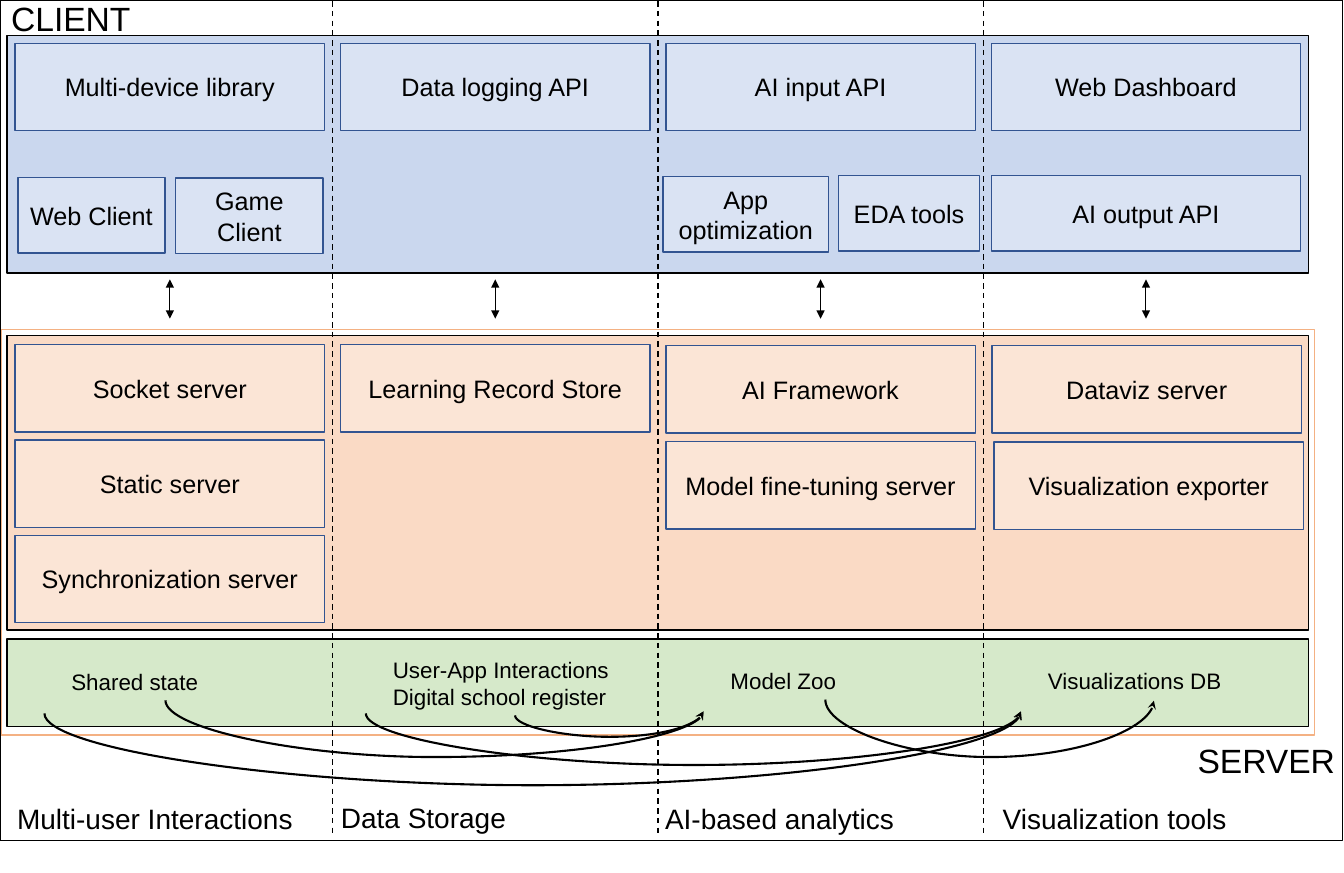
from lxml import etree
from pptx import Presentation
from pptx.dml.color import RGBColor
from pptx.enum.dml import MSO_LINE
from pptx.enum.shapes import MSO_CONNECTOR, MSO_SHAPE
from pptx.enum.text import MSO_ANCHOR, PP_ALIGN
from pptx.oxml.ns import qn
from pptx.util import Cm, Pt

RECTANGLE = MSO_SHAPE.RECTANGLE
STRAIGHT = MSO_CONNECTOR.STRAIGHT
CURVE = MSO_CONNECTOR.CURVE
DASH = MSO_LINE.DASH
MIDDLE = MSO_ANCHOR.MIDDLE
CENTER = PP_ALIGN.CENTER

BLACK = "000000"
CLIENT_FILL = "DAE3F3"
SERVER_FILL = "FBE5D6"
COLUMN_STEP = 8.2
COLUMNS = [0.38 + COLUMN_STEP * index for index in range(4)]
BOX_WIDTH = 7.8
BOX_HEIGHT = 2.2
SMALL_HEIGHT = 1.9

PANELS = [
    (16.1, 2.21, "C5E0B4"),
    (0.89, 5.99, "B4C7E7"),
    (8.46, 7.42, "F8CBAD"),
]
CLIENT_APIS = ["Multi-device library", "Data logging API", "AI input API", "Web Dashboard"]
CLIENT_TOOLS = [
    ("Web Client", 0.45, 4.48, 3.71),
    ("Game\nClient", 4.43, 4.49, 3.71),
    ("App\noptimization", 16.71, 4.45, 4.17),
    ("EDA tools", 21.13, 4.43, 3.56),
    ("AI output API", COLUMNS[3], 4.43, BOX_WIDTH),
]
SERVERS = [
    ("Socket server", COLUMNS[0], 8.69),
    ("Static server", COLUMNS[0], 11.09),
    ("Synchronization server", COLUMNS[0], 13.49),
    ("Learning Record Store", COLUMNS[1], 8.69),
    ("AI Framework", COLUMNS[2], 8.71),
    ("Model fine-tuning server", COLUMNS[2], 11.13),
    ("Dataviz server", 25, 8.71),
    ("Visualization exporter", 25.05, 11.14),
]
LABELS = [
    ("CLIENT", 0.03, -0.18, 4, 1.27, 24),
    ("SERVER", 29.93, 18.52, 4.11, 1.27, 24),
    ("Multi-user Interactions", 0.18, 20.07, 9.55, 1.12, 20),
    ("Data Storage", 8.34, 20.05, 5.21, 1.12, 20),
    ("AI-based analytics", 16.51, 20.07, 8.84, 1.12, 20),
    ("Visualization tools", 25.02, 20.07, 7.82, 1.12, 20),
    ("Shared state", 1.55, 16.71, 5.21, 0.94, 16),
    ("User-App Interactions\nDigital school register", 9.65, 16.41, 6.65, 1.63, 16),
    ("Model Zoo", 18.16, 16.69, 5.21, 0.94, 16),
    ("Visualizations DB", 26.16, 16.69, 5.82, 0.94, 16),
]
MODEL_ZOO = (17.73, 17.93)
VISUALIZATIONS = (25.73, 17.93)
DATA_FLOWS = [
    ((12.98, 18.03), MODEL_ZOO, 18.57),
    ((4.17, 17.65), MODEL_ZOO, 19.08),
    ((20.8, 17.63), (29.08, 17.66), 19.08),
    ((1.12, 17.98), VISUALIZATIONS, 19.79),
    ((9.22, 17.98), VISUALIZATIONS, 19.28),
]


def color(value):
    return RGBColor.from_string(value)


def write(frame, text, size, align=None):
    frame.word_wrap = True
    frame.text = text
    for para in frame.paragraphs:
        para.alignment = align
        para.font.name = "Arial"
        para.font.size = Pt(size)
        para.font.color.rgb = color(BLACK)


def add_rectangle(page, left, top, width, height, line, fill=None, opacity=100):
    shape = page.shapes.add_shape(RECTANGLE, Cm(left), Cm(top), Cm(width), Cm(height))
    shape.shadow.inherit = False
    shape.line.color.rgb = color(line)
    shape.line.width = Pt(1)
    if fill is None:
        shape.fill.background()
    else:
        shape.fill.solid()
        shape.fill.fore_color.rgb = color(fill)
    if opacity < 100:
        tint = shape.fill._xPr.find(qn("a:solidFill"))[0]
        etree.SubElement(tint, qn("a:alpha"), val=str(opacity * 1000))
    return shape


def add_component(page, text, left, top, width, height, fill):
    box = add_rectangle(page, left, top, width, height, "325491", fill)
    box.text_frame.vertical_anchor = MIDDLE
    write(box.text_frame, text, 18, CENTER)


def add_label(page, text, left, top, width, height, size):
    box = page.shapes.add_textbox(Cm(left), Cm(top), Cm(width), Cm(height))
    write(box.text_frame, text, size)


def add_line(page, kind, start, end, width, dash=None, head=None, tail=None):
    points = [Cm(value) for value in (*start, *end)]
    line = page.shapes.add_connector(kind, *points)
    line.line.color.rgb = color(BLACK)
    line.line.width = Pt(width)
    if dash is not None:
        line.line.dash_style = dash
    outline = line.line._get_or_add_ln()
    for tag, arrow in (("a:headEnd", head), ("a:tailEnd", tail)):
        if arrow:
            etree.SubElement(outline, qn(tag), type=arrow)
    etree.SubElement(line._element.spPr, qn("a:effectLst"))
    return line


def add_data_flow(page, start, end, lowest):
    (x1, y1), (x2, y2) = start, end
    span, drop = x2 - x1, y2 - y1
    flow = add_line(page, CURVE, start, end, 1.5, tail="stealth")
    flow.left = Cm((x1 + x2 - abs(drop)) / 2)
    flow.top = Cm((y1 + y2 - span) / 2)
    flow.width, flow.height = Cm(abs(drop)), Cm(span)
    properties = flow._element.spPr
    frame = properties.find(qn("a:xfrm"))
    frame.set("rot", str((270 if drop > 0 else 90) * 60000))
    frame.set("flipH", "1")
    frame.set("flipV", "0" if drop > 0 else "1")
    bend = round((lowest - y1) / drop * 100000)
    guides = properties.find(qn("a:prstGeom")).find(qn("a:avLst"))
    etree.SubElement(guides, qn("a:gd"), name="adj1", fmla=f"val {bend}")


def main():
    deck = Presentation()
    deck.slide_width, deck.slide_height = Cm(33.87), Cm(22)
    page = deck.slides.add_slide(deck.slide_layouts[6])

    add_rectangle(page, 0.03, 8.31, 33.1, 10.21, "F4B183")
    for top, height, fill in PANELS:
        add_rectangle(page, 0.18, top, 32.79, height, BLACK, fill, 70)
    for index in range(1, 4):
        x = 0.18 + COLUMN_STEP * index
        add_line(page, STRAIGHT, (x, 0.03), (x, 21.03), 1, dash=DASH)

    for text, left in zip(CLIENT_APIS, COLUMNS):
        add_component(page, text, left, 1.09, BOX_WIDTH, BOX_HEIGHT, CLIENT_FILL)
    for text, left, top, width in CLIENT_TOOLS:
        add_component(page, text, left, top, width, SMALL_HEIGHT, CLIENT_FILL)
    for text, left, top in SERVERS:
        add_component(page, text, left, top, BOX_WIDTH, BOX_HEIGHT, SERVER_FILL)
    for label in LABELS:
        add_label(page, *label)

    for left in COLUMNS:
        x = left + BOX_WIDTH / 2
        add_line(page, STRAIGHT, (x, 7.04), (x, 8.03), 0.75, head="triangle", tail="triangle")
    for flow in DATA_FLOWS:
        add_data_flow(page, *flow)
    add_rectangle(page, 0, 0, 33.83, 21.18, BLACK)

    deck.save("out.pptx")


if __name__ == "__main__":
    main()
